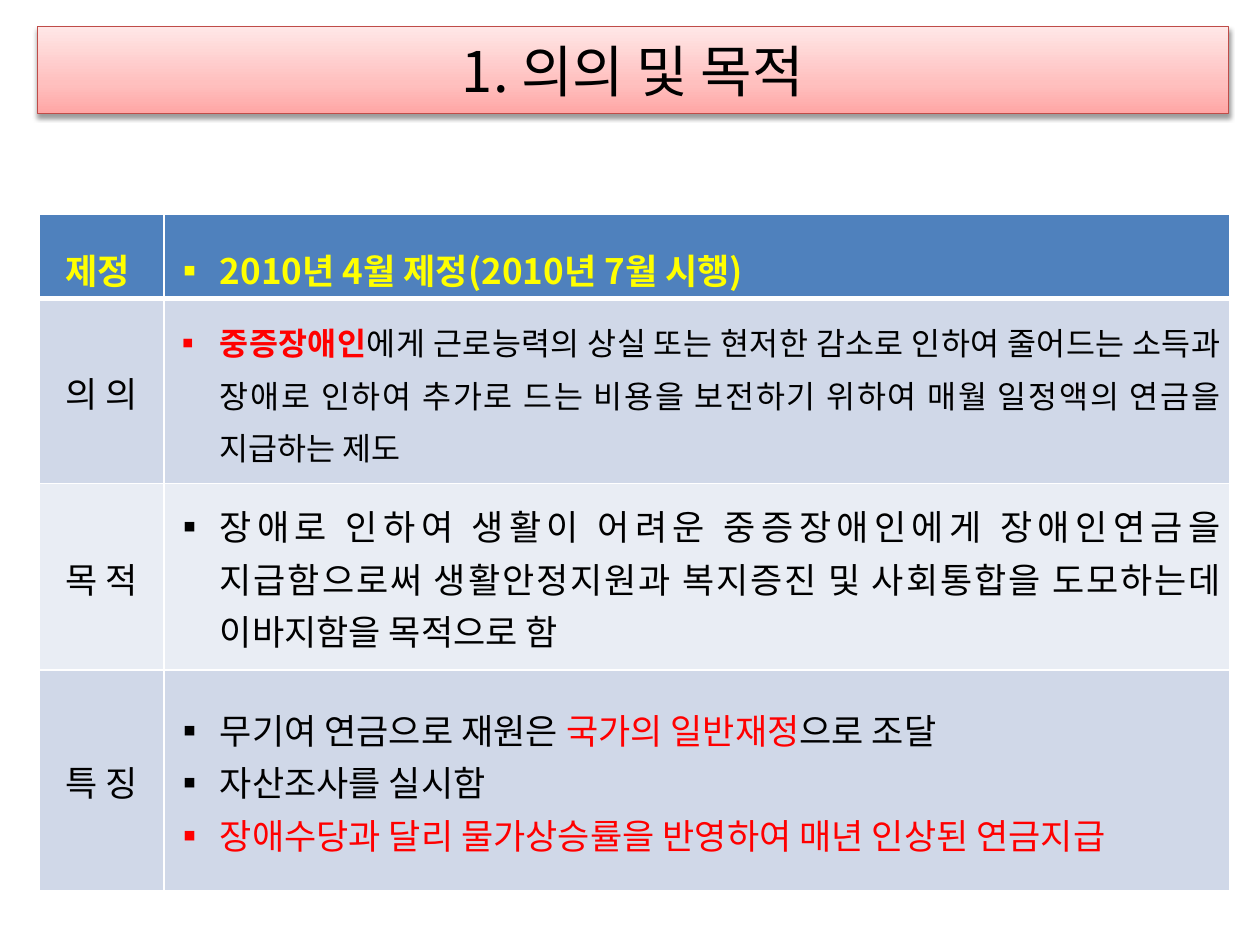
from copy import deepcopy

from pptx import Presentation
from pptx.dml.color import RGBColor
from pptx.enum import shapes, text
from pptx.oxml import parse_xml
from pptx.oxml.ns import nsdecls, qn
from pptx.util import Pt

FONT = "Noto Sans CJK KR"
HUES = {
    "black": "000000", "white": "FFFFFF", "red": "FF0000", "yellow": "FFFF00",
    "head": "4F81BD", "dark": "D0D8E8", "light": "E9EDF4", "edge": "BF4C48",
}
GRAD = [(0, "FFA6A5"), (0.35, "FFC0BF"), (1, "FFE7E7")]
COLS = [71.3, 609.1]
LEAD = Pt(30)

# Each row: height, fill, line spacing, label, bullets.
# A run is text, colour, size, bold.
ROWS = [
    (48.2, "head", 1.5, ("제정 ", "yellow", 20, True),
     [[("2010년 4월 제정(2010년 7월 시행)", "yellow", 20, True)]]),
    (105.8, "dark", LEAD, ("의 의", "black", 20, False),
     [[("중증장애인", "red", 18, True),
       ("에게 근로능력의 상실 또는 현저한 감소로 인하여 줄어드는 소득과 장애로 인하여 "
        "추가로 드는 비용을 보전하기 위하여 매월 일정액의 연금을 지급하는 제도",
        "black", 18, False)]]),
    (106.6, "light", LEAD, ("목 적", "black", 20, False),
     [[("장애로 인하여 생활이 어려운 중증장애인에게 장애인연금을 지급함으로써 "
        "생활안정지원과 복지증진 및 사회통합을 도모하는데 이바지함을 목적으로 함",
        "black", 20, False)]]),
    (126, "dark", LEAD, ("특 징", "black", 20, False),
     [[("무기여 연금으로 재원은 ", "black", 20, False),
       ("국가의 일반재정", "red", 20, False),
       ("으로 조달", "black", 20, False)],
      [("자산조사를 실시함", "black", 20, False)],
      [("장애수당과 달리 물가상승률을 반영하여 매년 인상된 연금지급",
        "red", 20, False)]]),
]


def assign(obj, vals):
    for key, val in vals.items():
        setattr(obj, key, val)


def add_run(para, words, hue, size, bold):
    run = para.add_run()
    run.text = words
    run.font.color.rgb = RGBColor.from_string(HUES[hue])
    assign(run.font, {"name": FONT, "size": Pt(size), "bold": bold})
    face = run.font._element.makeelement(qn("a:ea"), {"typeface": FONT})
    run.font._element.append(face)


def add_bullet(para):
    props = para._p.get_or_add_pPr()
    props.set("marL", str(Pt(27)))
    props.set("indent", str(-Pt(27)))
    props.append(parse_xml(f'<a:buFont {nsdecls("a")} typeface="{FONT}"/>'))
    props.append(parse_xml(f'<a:buChar {nsdecls("a")} char="▪"/>'))


def fill_text(frame, paras, align, space, bullet=False):
    for i, runs in enumerate(paras):
        para = frame.paragraphs[0] if i == 0 else frame.add_paragraph()
        if bullet:
            add_bullet(para)
        assign(para, {"alignment": align, "line_spacing": space})
        for run in runs:
            add_run(para, *run)


def add_edges(cell, top, base):
    props = cell._tc.get_or_add_tcPr()
    for side, wide in zip("LRTB", (1, 1, top, base)):
        props.append(parse_xml(
            f'<a:ln{side} {nsdecls("a")} w="{Pt(wide)}"><a:solidFill>'
            f'<a:srgbClr val="{HUES["white"]}"/></a:solidFill></a:ln{side}>'))


def add_title(slide):
    box = slide.shapes.add_shape(
        shapes.MSO_SHAPE.RECTANGLE, Pt(21.6), Pt(15.1), Pt(680.4), Pt(49.7))
    # Gradient running upward
    box.fill.gradient()
    box.fill.gradient_angle = 90
    stops = box._element.xpath(".//a:gsLst")[0]
    stops.append(deepcopy(stops[0]))
    for stop, (pos, hue) in zip(box.fill.gradient_stops, GRAD):
        stop.position = pos
        stop.color.rgb = RGBColor.from_string(hue)
    box.line.color.rgb = RGBColor.from_string(HUES["edge"])
    box.line.width = Pt(0.75)
    # Soft shadow below
    box._element.spPr.append(parse_xml(
        f'<a:effectLst {nsdecls("a")}><a:outerShdw blurRad="{Pt(3.1)}" '
        f'dist="{Pt(1.6)}" dir="5400000" rotWithShape="0">'
        f'<a:srgbClr val="{HUES["black"]}"><a:alpha val="38000"/></a:srgbClr>'
        '</a:outerShdw></a:effectLst>'))
    box.text_frame.vertical_anchor = text.MSO_ANCHOR.MIDDLE
    fill_text(box.text_frame, [[("1. 의의 및 목적", "black", 32, False)]],
              text.PP_ALIGN.CENTER, 1.0)


def add_grid(slide):
    high = sum(row[0] for row in ROWS)
    grid = slide.shapes.add_table(
        len(ROWS), len(COLS), Pt(22.3), Pt(122.4),
        Pt(sum(COLS)), Pt(high)).table
    for col, wide in zip(grid.columns, COLS):
        col.width = Pt(wide)
    pad = {"margin_left": Pt(5), "margin_right": Pt(5),
           "margin_top": Pt(1.4), "margin_bottom": Pt(1.4),
           "vertical_anchor": text.MSO_ANCHOR.MIDDLE}
    for i, (tall, hue, space, label, items) in enumerate(ROWS):
        grid.rows[i].height = Pt(tall)
        for cell in grid.rows[i].cells:
            assign(cell, pad)
            add_edges(cell, 3 if i == 1 else 1, 3 if i == 0 else 1)
            cell.fill.solid()
            cell.fill.fore_color.rgb = RGBColor.from_string(HUES[hue])
        name, body = grid.rows[i].cells
        fill_text(name.text_frame, [[label]], text.PP_ALIGN.CENTER, space)
        fill_text(body.text_frame, items, text.PP_ALIGN.JUSTIFY, space, True)


def main():
    deck = Presentation()
    assign(deck, {"slide_width": Pt(720), "slide_height": Pt(540)})
    slide = deck.slides.add_slide(deck.slide_layouts[6])
    add_title(slide)
    add_grid(slide)
    deck.save("out.pptx")


if __name__ == "__main__":
    main()
